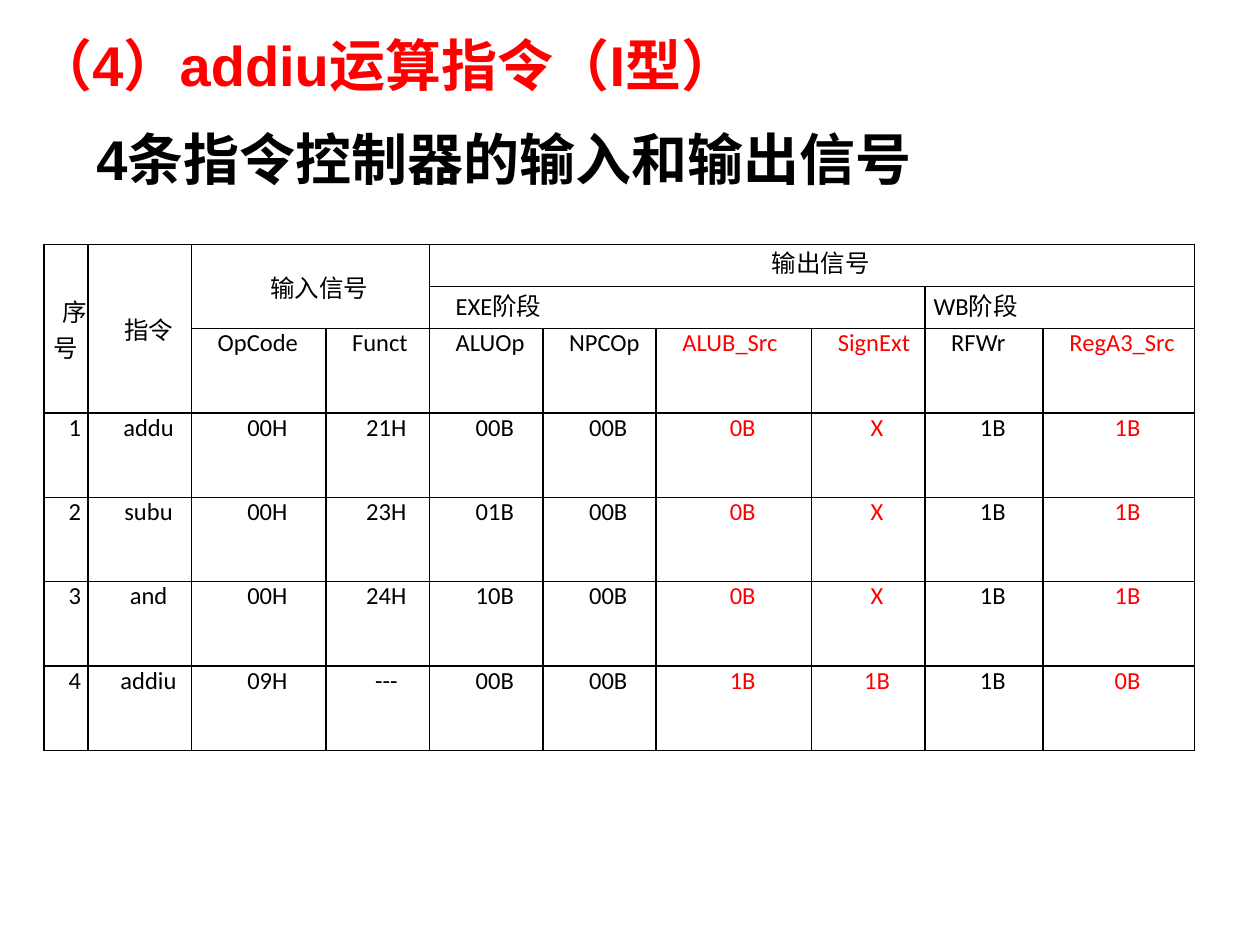
import dataclasses
import typing

import pptx
import pptx.dml.color
import pptx.enum.text
import pptx.oxml
import pptx.oxml.ns
import pptx.util

Pt = pptx.util.Pt
Align = pptx.enum.text.PP_ALIGN
Anchor = pptx.enum.text.MSO_ANCHOR


@dataclasses.dataclass(frozen=True)
class Theme:
    black: str = "000000"
    red: str = "FF0000"
    heading_font: str = "Arial"
    table_font: str = "Calibri"
    heading_size: float = 32
    table_size: float = 14
    border_width: float = 1


THEME = Theme()


@dataclasses.dataclass(frozen=True)
class Heading:
    text: str
    left: float
    top: float
    width: float
    height: float
    color: str
    anchor: Anchor
    wrap: bool


@dataclasses.dataclass(frozen=True)
class Entry:
    text: str
    row: int
    column: int
    rows: int = 1
    columns: int = 1
    align: Align = Align.CENTER
    anchor: Anchor = Anchor.TOP
    indent: float = 10
    color: str = THEME.black


HEADINGS = [
    Heading("（4）addiu运算指令（I型）", 13.7, 8, 691, 57.6, THEME.red, Anchor.MIDDLE, True),
    Heading("4条指令控制器的输入和输出信号", 48, 67.7, 495.4, 46, THEME.black, Anchor.TOP, False),
]

TABLE_LEFT, TABLE_TOP = 25.2, 139.6
COLUMN_WIDTHS = [25.2, 59, 76.8, 59.2, 64.8, 64.8, 88.8, 64.8, 67.6, 86.4]
ROW_HEIGHTS = [24.1] * 2 + [48.2] * 5
RED_COLUMNS = {6, 7, 9}
SIGNAL_ROW, FIRST_SIGNAL_COLUMN = 2, 2

GROUPS = [
    Entry("序号", 0, 0, rows=3, anchor=Anchor.MIDDLE),
    Entry("指令", 0, 1, rows=3, anchor=Anchor.MIDDLE),
    Entry("输入信号", 0, 2, rows=2, columns=2, anchor=Anchor.MIDDLE),
    Entry("输出信号", 0, 4, columns=6),
    Entry("EXE阶段", 1, 4, columns=4, align=Align.JUSTIFY),
    Entry("WB阶段", 1, 8, columns=2, align=Align.LEFT, indent=0),
]
SIGNALS = ["OpCode", "Funct", "ALUOp", "NPCOp", "ALUB_Src", "SignExt", "RFWr", "RegA3_Src"]
INSTRUCTIONS = [
    ["1", "addu", "00H", "21H", "00B", "00B", "0B", "X", "1B", "1B"],
    ["2", "subu", "00H", "23H", "01B", "00B", "0B", "X", "1B", "1B"],
    ["3", "and", "00H", "24H", "10B", "00B", "0B", "X", "1B", "1B"],
    ["4", "addiu", "09H", "---", "00B", "00B", "1B", "1B", "1B", "0B"],
]


def style_font(font: typing.Any, name: str, size: float, color: str, bold: bool) -> None:
    font.name = name
    font.size = Pt(size)
    font.bold = bold
    font.color.rgb = pptx.dml.color.RGBColor.from_string(color)


def add_heading(page: typing.Any, heading: Heading) -> None:
    box = page.shapes.add_textbox(
        Pt(heading.left), Pt(heading.top), Pt(heading.width), Pt(heading.height)
    )
    frame = box.text_frame
    frame.word_wrap = heading.wrap
    frame.vertical_anchor = heading.anchor
    para = frame.paragraphs[0]
    para.text = heading.text
    style_font(para.font, THEME.heading_font, THEME.heading_size, heading.color, True)


def outline_cell(cell: typing.Any) -> None:
    properties = cell._tc.get_or_add_tcPr()
    for side in ("lnL", "lnR", "lnT", "lnB"):
        properties.append(pptx.oxml.parse_xml(
            f'<a:{side} {pptx.oxml.ns.nsdecls("a")} w="{Pt(THEME.border_width)}">'
            f'<a:solidFill><a:srgbClr val="{THEME.black}"/></a:solidFill></a:{side}>'
        ))
    cell.fill.background()


def fill_entry(table: typing.Any, entry: Entry) -> None:
    cell = table.cell(entry.row, entry.column)
    if entry.rows > 1 or entry.columns > 1:
        cell.merge(table.cell(entry.row + entry.rows - 1, entry.column + entry.columns - 1))
    cell.margin_left = cell.margin_right = Pt(5)
    cell.margin_top = cell.margin_bottom = Pt(0)
    cell.vertical_anchor = entry.anchor
    para = cell.text_frame.paragraphs[0]
    para.text = entry.text
    para.alignment = entry.align
    para._p.get_or_add_pPr().set("indent", str(Pt(entry.indent)))
    style_font(para.font, THEME.table_font, THEME.table_size, entry.color, False)


def column_color(column: int) -> str:
    return THEME.red if column in RED_COLUMNS else THEME.black


def table_entries() -> list[Entry]:
    signals = [
        Entry(text, SIGNAL_ROW, column, align=Align.JUSTIFY, color=column_color(column))
        for column, text in enumerate(SIGNALS, FIRST_SIGNAL_COLUMN)
    ]
    values = [
        Entry(text, row, column, color=column_color(column))
        for row, instruction in enumerate(INSTRUCTIONS, SIGNAL_ROW + 1)
        for column, text in enumerate(instruction)
    ]
    return GROUPS + signals + values


def add_signal_table(page: typing.Any) -> None:
    table = page.shapes.add_table(
        len(ROW_HEIGHTS), len(COLUMN_WIDTHS), Pt(TABLE_LEFT), Pt(TABLE_TOP),
        Pt(sum(COLUMN_WIDTHS)), Pt(sum(ROW_HEIGHTS)),
    ).table
    table.first_row = False
    table.horz_banding = False
    for column, width in zip(table.columns, COLUMN_WIDTHS):
        column.width = Pt(width)
    for row, height in zip(table.rows, ROW_HEIGHTS):
        row.height = Pt(height)
    for cell in table.iter_cells():
        outline_cell(cell)
    for entry in table_entries():
        fill_entry(table, entry)


def main() -> None:
    deck = pptx.Presentation()
    deck.slide_width, deck.slide_height = Pt(720), Pt(540)
    page = deck.slides.add_slide(deck.slide_layouts[6])
    for heading in HEADINGS:
        add_heading(page, heading)
    add_signal_table(page)
    deck.save("out.pptx")


if __name__ == "__main__":
    main()
